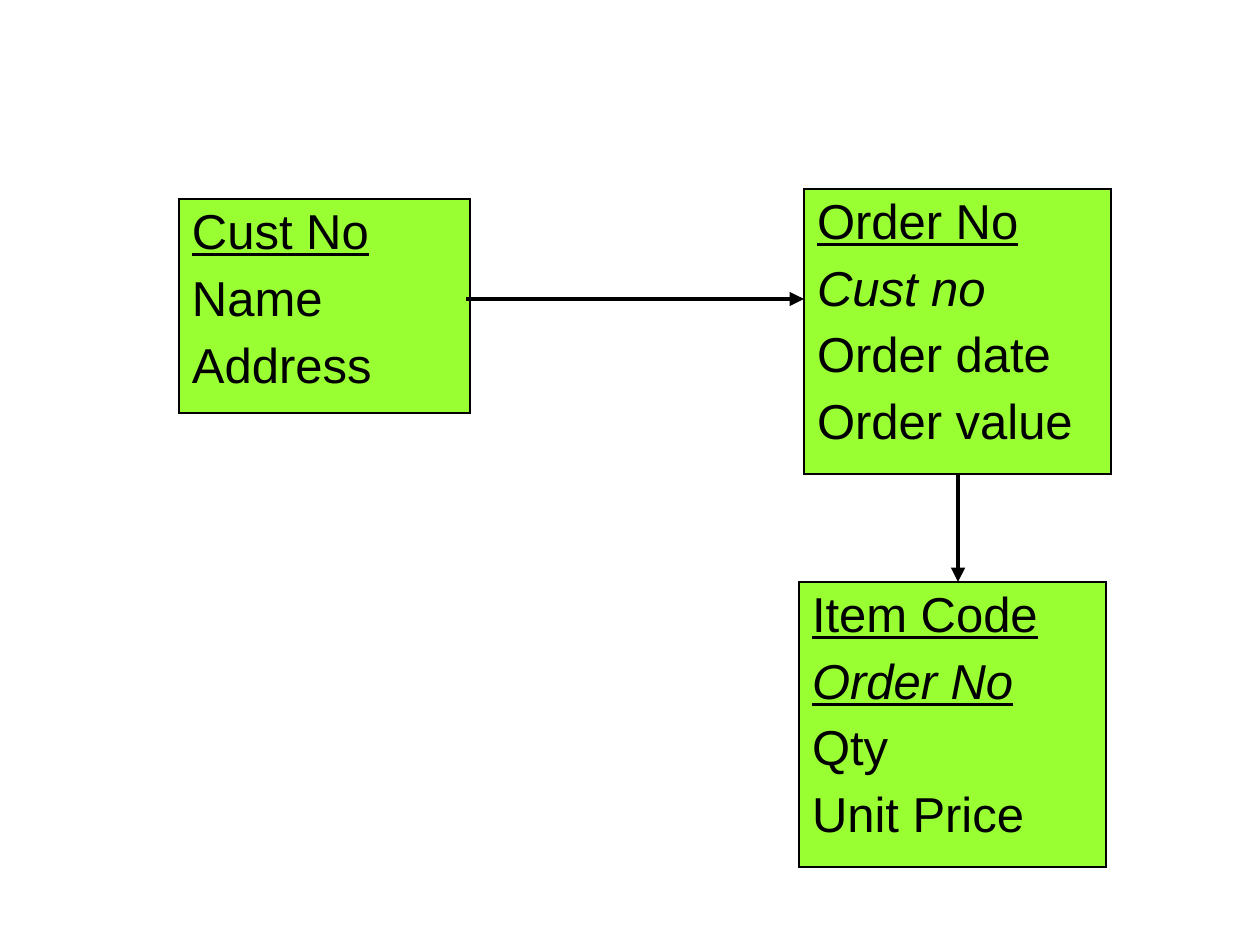
import pptx
import pptx.dml.color
import pptx.enum.shapes
import pptx.oxml
import pptx.oxml.ns
import pptx.util

PIXEL = 914400 / 126
NAMESPACE = pptx.oxml.ns.nsdecls("a")


def px(length):
    return pptx.util.Emu(round(length * PIXEL))


def colour(value):
    return pptx.dml.color.RGBColor.from_string(value)


class Diagram:
    ink = "000000"
    entity_fill = "99FF33"
    text_format = {"name": "Arial", "size": pptx.util.Pt(28), "bold": False}
    cell_margins = {"margin_left": px(13), "margin_right": px(13),
                    "margin_top": px(6), "margin_bottom": px(6)}
    space_before = pptx.util.Pt(7)
    border_width = pptx.util.Pt(1.08)
    arrow_width = pptx.util.Pt(2.75)

    def __init__(self, slide):
        self.slide = slide

    def entity(self, left, top, width, height, fields):
        """Draw one entity; each field is a name and its key format."""
        frame = self.slide.shapes.add_table(
            1, 1, px(left), px(top), px(width), px(height))
        table = frame.table
        table.first_row = table.horz_banding = False
        cell = table.cell(0, 0)
        for name, value in self.cell_margins.items():
            setattr(cell, name, value)
        self.borders(cell)
        cell.fill.solid()
        cell.fill.fore_color.rgb = colour(self.entity_fill)

        text_frame = cell.text_frame
        for index, (field, key_format) in enumerate(fields):
            if index == 0:
                paragraph = text_frame.paragraphs[0]
            else:
                paragraph = text_frame.add_paragraph()
                paragraph.space_before = self.space_before
            run = paragraph.add_run()
            run.text = field
            for name, value in {**self.text_format, **key_format}.items():
                setattr(run.font, name, value)
            run.font.color.rgb = colour(self.ink)

    def borders(self, cell):
        properties = cell._tc.get_or_add_tcPr()
        for side in "LRTB":
            properties.append(pptx.oxml.parse_xml(
                f'<a:ln{side} {NAMESPACE} w="{self.border_width}"><a:solidFill>'
                f'<a:srgbClr val="{self.ink}"/></a:solidFill></a:ln{side}>'))

    def arrow(self, start, end):
        connector = self.slide.shapes.add_connector(
            pptx.enum.shapes.MSO_CONNECTOR.STRAIGHT,
            *map(px, start), *map(px, end))
        connector.line.width = self.arrow_width
        connector.line.color.rgb = colour(self.ink)
        connector.line._get_or_add_ln().append(
            pptx.oxml.parse_xml(f'<a:tailEnd {NAMESPACE} type="triangle"/>'))
        connector._element.spPr.append(
            pptx.oxml.parse_xml(f"<a:effectLst {NAMESPACE}/>"))


def main():
    presentation = pptx.Presentation()
    presentation.slide_width = px(1260)
    presentation.slide_height = px(945)
    diagram = Diagram(
        presentation.slides.add_slide(presentation.slide_layouts[6]))

    # Key formats
    plain = {}
    primary = {"underline": True}
    foreign = {"italic": True}

    # Entities: customer, order, order item
    diagram.entity(179, 199, 291, 214, [
        ("Cust No", primary), ("Name", plain), ("Address", plain)])
    diagram.entity(804, 189, 307, 285, [
        ("Order No", primary), ("Cust no", foreign),
        ("Order date", plain), ("Order value", plain)])
    diagram.entity(799, 582, 307, 285, [
        ("Item Code", primary), ("Order No", {**primary, **foreign}),
        ("Qty", plain), ("Unit Price", plain)])

    # Relationships
    diagram.arrow((466, 299), (804, 299))
    diagram.arrow((958, 473), (958, 582))

    presentation.save("out.pptx")


if __name__ == "__main__":
    main()
